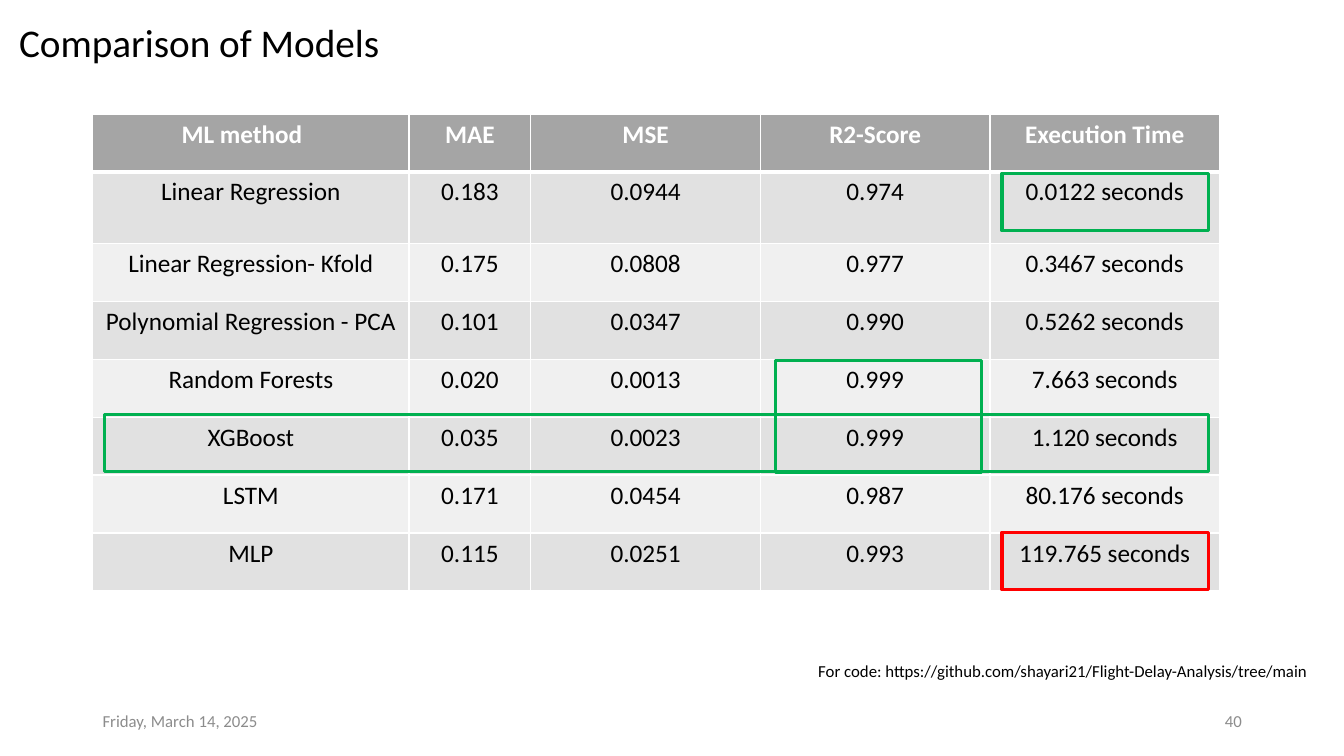
from collections import namedtuple

from lxml import etree
from pptx import Presentation
from pptx.dml import color
from pptx.enum import shapes, text
from pptx.oxml import ns
from pptx.util import Pt

Box = namedtuple("Box", "left top width height")

FONT = "Calibri"
BLACK, WHITE, GRAY = "000000", "FFFFFF", "8C8C8C"
HEADER_FILL, ODD_FILL, EVEN_FILL = "A5A5A5", "E1E1E1", "F0F0F0"
GREEN, RED = "00B050", "FF0000"

COLUMN_WIDTHS = [226, 87, 164, 164, 164]
ROW_HEIGHT, FIRST_MODEL_HEIGHT = 41.4, 51
MODELS = [
    ["ML method", "MAE", "MSE", "R2-Score", "Execution Time"],
    ["Linear Regression", "0.183", "0.0944", "0.974", "0.0122 seconds"],
    ["Linear Regression- Kfold", "0.175", "0.0808", "0.977", "0.3467 seconds"],
    ["Polynomial Regression - PCA", "0.101", "0.0347", "0.990", "0.5262 seconds"],
    ["Random Forests", "0.020", "0.0013", "0.999", "7.663 seconds"],
    ["XGBoost", "0.035", "0.0023", "0.999", "1.120 seconds"],
    ["LSTM", "0.171", "0.0454", "0.987", "80.176 seconds"],
    ["MLP", "0.115", "0.0251", "0.993", "119.765 seconds"],
]
HIGHLIGHTS = [
    (Box(649.5, 42.5, 147.6, 41), GREEN),
    (Box(487.5, 176.4, 147.6, 80), GREEN),
    (Box(649.5, 298.8, 147.6, 41), RED),
    (Box(8.6, 214.6, 788.4, 41), GREEN),
]


def rgb(value):
    return color.RGBColor.from_string(value)


def place(shape, box):
    shape.left, shape.top, shape.width, shape.height = map(Pt, box)


def write(frame, words, size=18, fill=BLACK, bold=False, align="LEFT", spacing=1.0):
    frame.word_wrap = True
    paragraph = frame.paragraphs[0]
    paragraph.alignment = getattr(text.PP_ALIGN, align)
    paragraph.line_spacing = spacing
    run = paragraph.add_run()
    run.text = words
    run.font.name = FONT
    run.font.size = Pt(size)
    run.font.bold = bold
    run.font.color.rgb = rgb(fill)


def add_title(slide, box):
    title = slide.shapes.title
    place(title, box)
    title.text_frame.auto_size = text.MSO_AUTO_SIZE.NONE
    title.text_frame.vertical_anchor = text.MSO_ANCHOR.MIDDLE
    write(title.text_frame, "Comparison of Models", size=28, spacing=0.9)


def add_label(slide, box, words, anchor="MIDDLE", **style):
    label = slide.shapes.add_textbox(*map(Pt, box))
    label.text_frame.vertical_anchor = getattr(text.MSO_ANCHOR, anchor)
    write(label.text_frame, words, size=12, **style)


def set_borders(cell, bottom_width):
    properties = cell._tc.get_or_add_tcPr()
    widths = {"lnL": 1, "lnR": 1, "lnT": 1, "lnB": bottom_width}
    for index, (side, width) in enumerate(widths.items()):
        line = etree.Element(ns.qn("a:" + side), w=str(Pt(width)))
        fill = etree.SubElement(line, ns.qn("a:solidFill"))
        etree.SubElement(fill, ns.qn("a:srgbClr"), val=WHITE)
        properties.insert(index, line)


def fill_cell(cell, words, is_header, background):
    cell.fill.solid()
    cell.fill.fore_color.rgb = rgb(background)
    set_borders(cell, 3 if is_header else 1)
    write(cell.text_frame, words, fill=WHITE if is_header else BLACK,
          bold=is_header, align="CENTER")


def add_models_table(slide, box):
    frame = slide.shapes.add_table(len(MODELS), len(COLUMN_WIDTHS), *map(Pt, box))
    table = frame.table
    for column, width in zip(table.columns, COLUMN_WIDTHS):
        column.width = Pt(width)
    for index, values in enumerate(MODELS):
        table.rows[index].height = Pt(FIRST_MODEL_HEIGHT if index == 1 else ROW_HEIGHT)
        background = ODD_FILL if index % 2 else EVEN_FILL
        for column, words in enumerate(values):
            fill_cell(table.cell(index, column), words, index == 0,
                      background if index else HEADER_FILL)
    table.cell(0, 0).margin_right = Pt(20)


def add_highlights(slide, box):
    for offset, line_color in HIGHLIGHTS:
        position = Box(box.left + offset.left, box.top + offset.top,
                       offset.width, offset.height)
        shape = slide.shapes.add_shape(shapes.MSO_SHAPE.RECTANGLE, *map(Pt, position))
        shape.shadow.inherit = False
        shape.fill.background()
        shape.line.color.rgb = rgb(line_color)
        shape.line.width = Pt(2.25)


def add_footer(slide, box):
    width = 216
    add_label(slide, box._replace(width=width), "Friday, March 14, 2025", fill=GRAY)
    number_box = box._replace(left=box.left + box.width - width, width=width)
    add_label(slide, number_box, "40", fill=GRAY, align="RIGHT")


def build_comparison_slide(presentation):
    slide = presentation.slides.add_slide(presentation.slide_layouts[5])
    table_box = Box(66.2, 81.4, sum(COLUMN_WIDTHS), 340.8)
    add_title(slide, Box(6.5, 7.2, 828, 49.7))
    add_footer(slide, Box(66.2, 500.4, 828, 28.8))
    add_models_table(slide, table_box)
    add_label(slide, Box(577.4, 468.7, 380, 21.8),
              "For code: https://github.com/shayari21/Flight-Delay-Analysis/tree/main",
              anchor="TOP")
    add_highlights(slide, table_box)


def main():
    presentation = Presentation()
    presentation.slide_width, presentation.slide_height = Pt(960), Pt(540)
    build_comparison_slide(presentation)
    presentation.save("out.pptx")


if __name__ == "__main__":
    main()
